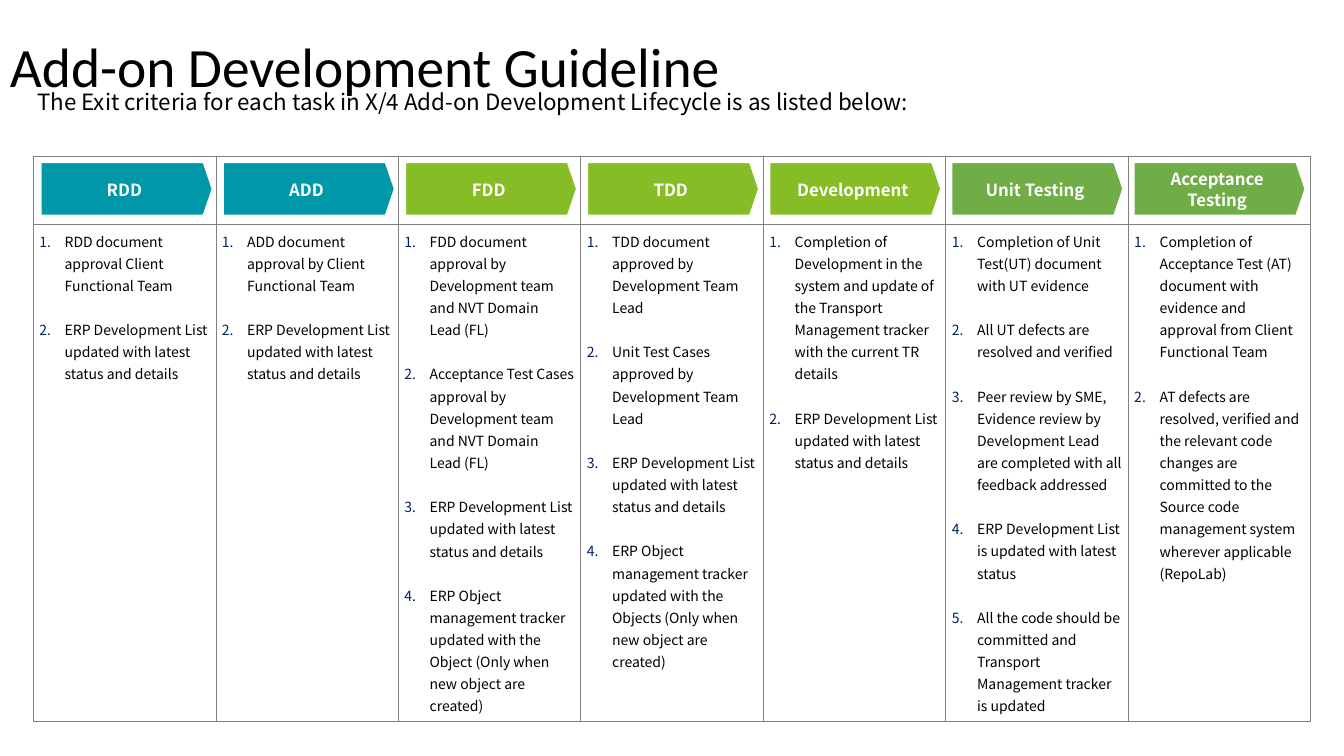
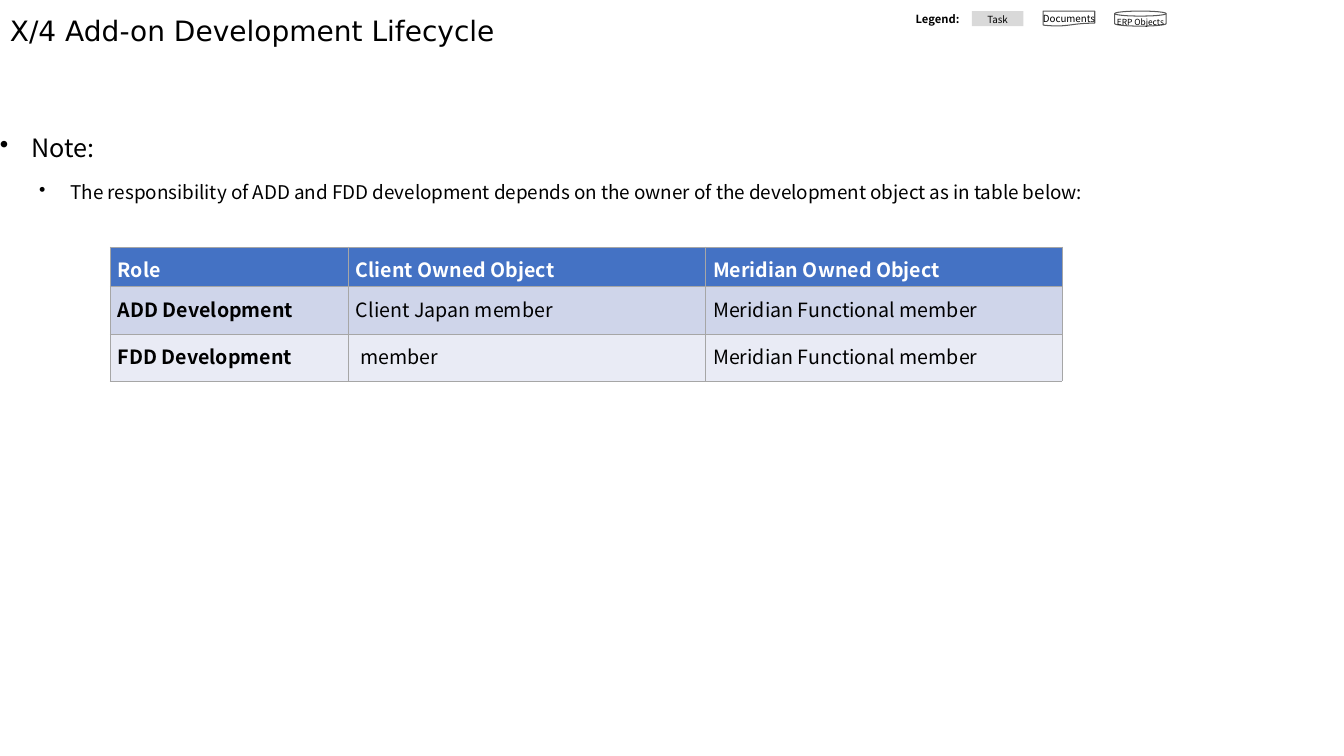
from dataclasses import dataclass

from lxml import etree
from pptx import Presentation
from pptx import util as u
from pptx.dml.color import RGBColor
from pptx.enum import shapes, text
from pptx.oxml import ns

Cm, Pt = u.Cm, u.Pt
SHAPE, ALIGN, ANCHOR = shapes.MSO_SHAPE, text.PP_ALIGN, text.MSO_ANCHOR


@dataclass(frozen=True)
class Theme:
    font: str = "Noto Sans CJK JP"
    heading_font: str = "Calibri"
    plain_font: str = "DejaVu Sans"
    black: str = "000000"
    white: str = "FFFFFF"
    navy: str = "002060"
    teal: str = "0097A9"
    lime: str = "86BC25"
    green: str = "70AD47"
    blue: str = "4472C4"
    band_dark: str = "CFD5EA"
    band_light: str = "E9EBF5"
    task_grey: str = "D9D9D9"
    outline: str = "595959"
    grid: str = "808080"
    grid_light: str = "A6A6A6"
    heading: float = 39.6
    small_heading: float = 20
    note: float = 18
    lead: float = 16
    cell: float = 14
    subnote: float = 13.5
    stage: float = 12
    criteria: float = 10
    legend: float = 8
    key: float = 7
    small_key: float = 6


THEME = Theme()

# Content
GUIDELINE_TITLE = "Add-on Development Guideline"
GUIDELINE_LEAD = "The Exit criteria for each task in X/4 Add-on Development Lifecycle is as listed below:"
LIST_UPDATED = "ERP Development List updated with latest status and details"
STAGES = [
    ("RDD", THEME.teal, ["RDD document approval Client Functional Team", LIST_UPDATED]),
    ("ADD", THEME.teal, ["ADD document approval by Client Functional Team", LIST_UPDATED]),
    ("FDD", THEME.lime, [
        "FDD document approval by Development team and NVT Domain　Lead (FL)",
        "Acceptance Test Cases approval by Development team and NVT Domain　Lead (FL)",
        LIST_UPDATED,
        "ERP Object management tracker updated with the Object (Only when new object are created)",
    ]),
    ("TDD", THEME.lime, [
        "TDD document approved by Development Team Lead",
        "Unit Test Cases approved by Development Team Lead",
        LIST_UPDATED,
        "ERP Object management tracker updated with the Objects (Only when new object are created)",
    ]),
    ("Development", THEME.lime, [
        "Completion of Development in the system and update of the Transport Management "
        "tracker with the current TR details",
        LIST_UPDATED,
    ]),
    ("Unit Testing", THEME.green, [
        "Completion of Unit Test(UT) document with UT evidence",
        "All UT defects are resolved and verified",
        "Peer review by SME, Evidence review by Development Lead are completed with all "
        "feedback addressed",
        "ERP Development List is updated with latest status",
        "All the code should be committed and Transport Management tracker is updated",
    ]),
    ("Acceptance Testing", THEME.green, [
        "Completion of Acceptance Test (AT) document with evidence and approval from Client "
        "Functional Team",
        "AT defects are resolved, verified and the relevant code changes are committed to the "
        "Source code management system wherever applicable (RepoLab)",
    ]),
]

LIFECYCLE_TITLE = "X/4 Add-on Development Lifecycle"
NOTE = "Note:"
SUBNOTE = ("The responsibility of ADD and FDD development depends on the owner of the "
           "development object as in table below:")
LEGEND = "Legend:"
# label, shape, fill, line, text size
KEYS = [
    ("Task", SHAPE.RECTANGLE, THEME.task_grey, None, THEME.key),
    ("Documents", SHAPE.FLOWCHART_DOCUMENT, THEME.white, THEME.outline, THEME.key),
    ("ERP Objects", SHAPE.FLOWCHART_MAGNETIC_DISK, THEME.white, THEME.outline, THEME.small_key),
]
ROLES = [
    ("Role", "Client Owned Object", "Meridian Owned Object"),
    ("ADD Development", "Client Japan member", "Meridian Functional member"),
    ("FDD Development", " member", "Meridian Functional member"),
]


# Helpers
def rgb(value):
    return RGBColor.from_string(value)


def write(frame, words, size, font=THEME.font, color=THEME.black, bold=False, align=None,
          spacing=None, before=None, bullet=None, bullet_color=None, left=0, hang=0, level=0,
          more=False):
    """Fill the first paragraph of a frame, or add one when more is set."""
    para = frame.add_paragraph() if more else frame.paragraphs[0]
    para.level = level
    para.alignment = align
    para.line_spacing = spacing
    if before is not None:
        para.space_before = Pt(before)
    if bullet:
        props = para._p.get_or_add_pPr()
        props.set("marL", str(Cm(left)))
        props.set("indent", str(-Cm(hang)))
        if bullet_color:
            holder = etree.SubElement(props, ns.qn("a:buClr"))
            etree.SubElement(holder, ns.qn("a:srgbClr"), val=bullet_color)
        if bullet == "number":
            etree.SubElement(props, ns.qn("a:buAutoNum"), type="arabicPeriod")
        else:
            etree.SubElement(props, ns.qn("a:buChar"), char=bullet)
    span = para.add_run()
    span.text = words
    span.font.name, span.font.size, span.font.bold = font, Pt(size), bold
    span.font.color.rgb = rgb(color)


def set_margins(frame, margin):
    frame.margin_left = frame.margin_right = Cm(margin)
    frame.margin_top = frame.margin_bottom = Cm(margin)


def add_text_box(page, area, margin=None, anchor=ANCHOR.TOP):
    frame = page.shapes.add_textbox(*map(Cm, area)).text_frame
    frame.word_wrap = True
    frame.vertical_anchor = anchor
    if margin is not None:
        set_margins(frame, margin)
    return frame


def add_title(page, words, top, size, font):
    frame = add_text_box(page, (0, top, 32, 1.5), anchor=ANCHOR.MIDDLE)
    write(frame, words, size, font=font, spacing=0.9)


def add_box(page, kind, area, fill, line=None, width=0.75, margin=0, wrap=True):
    box = page.shapes.add_shape(kind, *map(Cm, area))
    box.shadow.inherit = False
    box.fill.solid()
    box.fill.fore_color.rgb = rgb(fill)
    if line:
        box.line.color.rgb = rgb(line)
        box.line.width = Pt(width)
    else:
        box.line.fill.background()
    frame = box.text_frame
    frame.word_wrap = wrap
    frame.vertical_anchor = ANCHOR.MIDDLE
    set_margins(frame, margin)
    return box


def add_grid(page, left, top, widths, heights, line, line_width):
    table = page.shapes.add_table(len(heights), len(widths), Cm(left), Cm(top),
                                  Cm(sum(widths)), Cm(sum(heights))).table
    table.first_row = table.horz_banding = False
    for column, width in zip(table.columns, widths):
        column.width = Cm(width)
    for row, height in zip(table.rows, heights):
        row.height = Cm(height)
    for cell in table.iter_cells():
        props = cell._tc.get_or_add_tcPr()
        for side in ("lnL", "lnR", "lnT", "lnB"):
            edge = etree.SubElement(props, ns.qn(f"a:{side}"), w=str(Pt(line_width)))
            paint = etree.SubElement(edge, ns.qn("a:solidFill"))
            etree.SubElement(paint, ns.qn("a:srgbClr"), val=line)
    return table


def format_cell(cell, fill, side, top, bottom):
    cell.fill.solid()
    cell.fill.fore_color.rgb = rgb(fill)
    cell.margin_left = cell.margin_right = Cm(side)
    cell.margin_top, cell.margin_bottom = Cm(top), Cm(bottom)


# Slides
def build_guideline(page):
    table = add_grid(page, 0.84, 3.94, [4.6] * len(STAGES), [1.7, 12.5], THEME.grid, 0.5)
    for cell in table.iter_cells():
        format_cell(cell, THEME.white, 0.15, 0.13, 0.13)
    add_title(page, GUIDELINE_TITLE, 1, THEME.heading, THEME.heading_font)

    for index, (name, color, criteria) in enumerate(STAGES):
        arrow = add_box(page, SHAPE.PENTAGON, (1 + index * 4.59, 4.06, 4.39, 1.4), color,
                        line=THEME.white, width=3, margin=0.33)
        arrow.adjustments[0] = 0.17
        write(arrow.text_frame, name, THEME.stage, color=THEME.white, bold=True,
              align=ALIGN.CENTER, spacing=1.06)
        frame = table.cell(1, index).text_frame
        for number, criterion in enumerate(criteria):
            write(frame, criterion, THEME.criteria, spacing=1.1, bullet="number",
                  bullet_color=THEME.navy, left=0.64, hang=0.64, more=number > 0,
                  before=15.8 if number else 0)

    lead = add_text_box(page, (0.94, 2.16, 31.27, 2.1), margin=0)
    write(lead, GUIDELINE_LEAD, THEME.lead, spacing=1.1)


def build_lifecycle(page):
    add_title(page, LIFECYCLE_TITLE, 0.08, THEME.small_heading, THEME.plain_font)
    notes = add_text_box(page, (0, 2.95, 32, 10.08), margin=0)
    write(notes, NOTE, THEME.note, spacing=1.5, before=10, bullet="•", left=0.79, hang=0.79)
    write(notes, SUBNOTE, THEME.subnote, spacing=1.5, before=5, bullet="•", left=1.78,
          hang=0.79, level=1, more=True)

    # Legend
    legend = add_text_box(page, (22.68, 0.18, 1.9, 0.58))
    write(legend, LEGEND, THEME.legend, bold=True, align=ALIGN.CENTER, spacing=Pt(10))
    for index, (label, kind, fill, line, size) in enumerate(KEYS):
        key = add_box(page, kind, (24.49 + index * 1.8, 0.28, 1.3, 0.38), fill, line, wrap=False)
        write(key.text_frame, label, size, align=ALIGN.CENTER, spacing=Pt(10))

    # Responsibility table
    table = add_grid(page, 2.77, 6.22, [6, 9, 9], [1, 1.19, 1.19], THEME.grid_light, 0.25)
    fills = [THEME.blue, THEME.band_dark, THEME.band_light]
    for row, (entries, fill) in enumerate(zip(ROLES, fills)):
        for column, words in enumerate(entries):
            cell = table.cell(row, column)
            format_cell(cell, fill, 0.2, 0.2, 0.1)
            write(cell.text_frame, words, THEME.cell, bold=row == 0 or column == 0,
                  color=THEME.black if row else THEME.white)


def main():
    deck = Presentation()
    deck.slide_width, deck.slide_height = Cm(33.87), Cm(19.05)
    for build in (build_guideline, build_lifecycle):
        build(deck.slides.add_slide(deck.slide_layouts[6]))
    deck.save("out.pptx")


if __name__ == "__main__":
    main()
